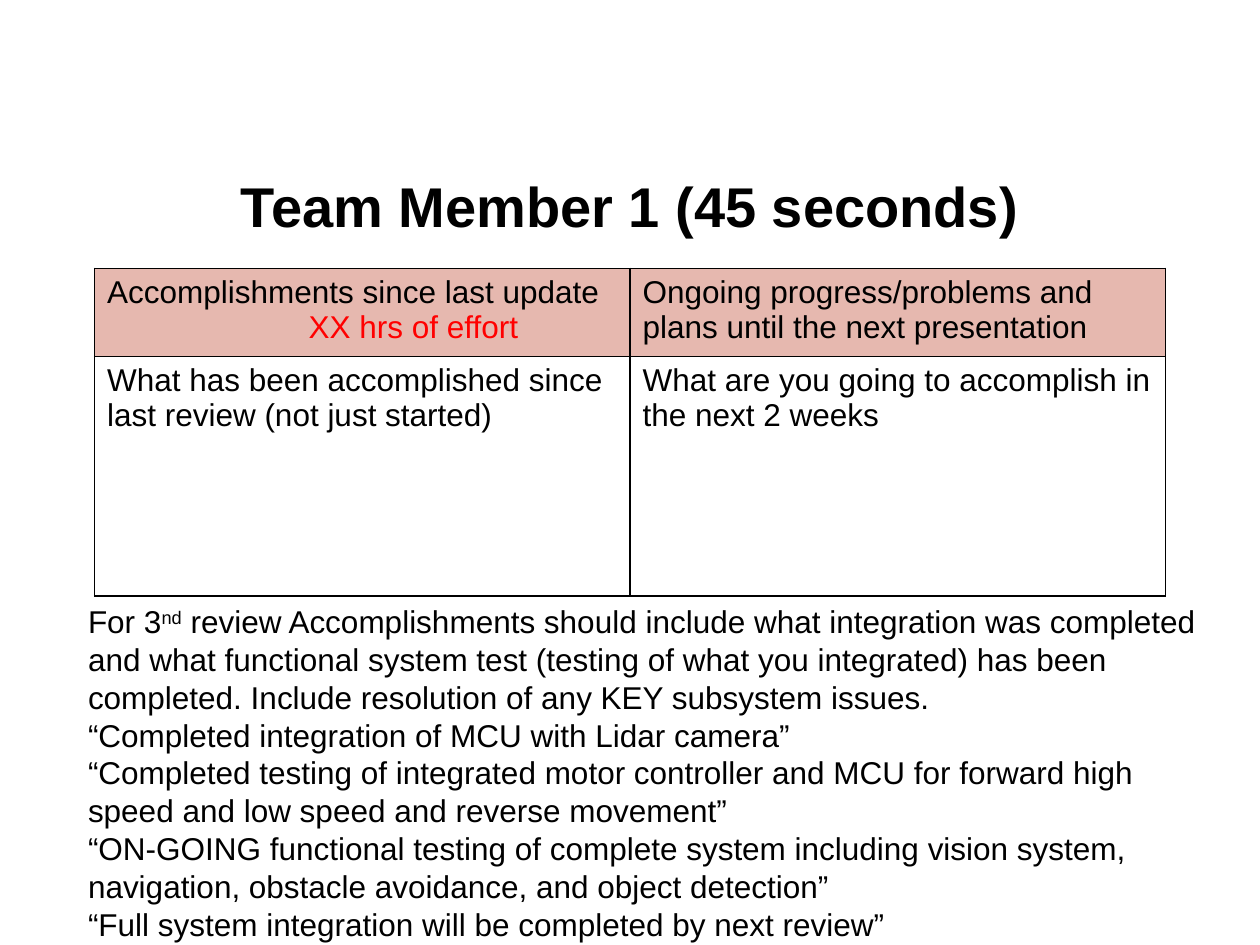
from lxml.etree import SubElement
from pptx import Presentation
from pptx.dml.color import RGBColor
from pptx.enum.text import MSO_ANCHOR, MSO_AUTO_SIZE, PP_ALIGN
from pptx.oxml.ns import qn
from pptx.util import Pt

PX = 9144  # EMU per px, 100 px to the inch
BLACK = RGBColor(0x00, 0x00, 0x00)
RED = RGBColor(0xFF, 0x00, 0x00)
ROSE = RGBColor(0xE6, 0xB8, 0xAF)

HEADER = [
    ["Accomplishments since last update", "XX hrs of effort"],
    ["Ongoing progress/problems and plans until the next presentation"],
]
BODY = [
    ["What has been accomplished since last review (not just started)"],
    ["What are you going to accomplish in the next 2 weeks"],
]
GUIDANCE = [
    [("For 3", 0), ("nd", 30000),
     (" review Accomplishments should include what integration was completed "
      "and what functional system test (testing of what you integrated) has been "
      "completed. Include resolution of any KEY subsystem issues.", 0)],
    [("“Completed integration of MCU with Lidar camera”", 0)],
    [("“Completed testing of integrated motor controller and MCU for forward high "
      "speed and low speed and reverse movement”", 0)],
    [("“ON-GOING functional testing of complete system including vision system, "
      "navigation, obstacle avoidance, and object detection”", 0)],
    [("“Full system integration will be completed by next review”", 0)],
]


def emu(box):
    return [length * PX for length in box]


def add_text(para, text, size=18, color=BLACK, bold=False, raised=0):
    span = para.add_run()
    span.text = text
    span.font.name = "Arial"
    span.font.size = Pt(size)
    span.font.bold = bold
    span.font.color.rgb = color
    if raised:
        span.font._element.set("baseline", str(raised))


def next_para(frame, index):
    return frame.paragraphs[0] if index == 0 else frame.add_paragraph()


def outline_cell(cell):
    properties = cell._tc.get_or_add_tcPr()
    for position, side in enumerate(("a:lnL", "a:lnR", "a:lnT", "a:lnB")):
        line = SubElement(properties, qn(side), w=str(Pt(1)))
        fill = SubElement(line, qn("a:solidFill"))
        SubElement(fill, qn("a:srgbClr"), val=str(BLACK))
        properties.insert(position, line)


def fill_title(page, box):
    title = page.shapes.title
    title.left, title.top, title.width, title.height = emu(box)
    frame = title.text_frame
    frame.word_wrap = True
    frame.auto_size = MSO_AUTO_SIZE.NONE
    frame.vertical_anchor = MSO_ANCHOR.MIDDLE
    para = frame.paragraphs[0]
    para.alignment = PP_ALIGN.CENTER
    para.line_spacing = 1.15
    add_text(para, "Team Member 1 (45 seconds)", size=32, bold=True)


def add_status_table(page, box, row_heights, effort_indent):
    table = page.shapes.add_table(2, 2, *emu(box)).table
    table.first_row = table.horz_banding = False
    for row, height in zip(table.rows, row_heights):
        row.height = height * PX
    for row_index, texts in enumerate((HEADER, BODY)):
        for column_index, lines in enumerate(texts):
            cell = table.cell(row_index, column_index)
            if row_index == 0:
                cell.fill.solid()
                cell.fill.fore_color.rgb = ROSE
            else:
                cell.fill.background()
            outline_cell(cell)
            for index, line in enumerate(lines):
                para = next_para(cell.text_frame, index)
                add_text(para, line, color=RED if index else BLACK)
                if index:
                    para._p.get_or_add_pPr().set("marL", str(effort_indent * PX))


def add_guidance(page, box):
    frame = page.shapes.add_textbox(*emu(box)).text_frame
    frame.word_wrap = True
    frame.auto_size = MSO_AUTO_SIZE.SHAPE_TO_FIT_TEXT
    for index, spans in enumerate(GUIDANCE):
        para = next_para(frame, index)
        for text, raised in spans:
            add_text(para, text, raised=raised)


def main():
    deck = Presentation()
    deck.slide_width, deck.slide_height = emu((1000, 750))
    page = deck.slides.add_slide(deck.slide_layouts[5])
    # Heading
    fill_title(page, (50, 115, 900, 88))
    # Accomplishments and plans
    add_status_table(page, (75, 213, 850, 260), (70, 190), effort_indent=160)
    # Advice for the review
    add_guidance(page, (60, 473, 919, 283))
    deck.save("out.pptx")


if __name__ == "__main__":
    main()
